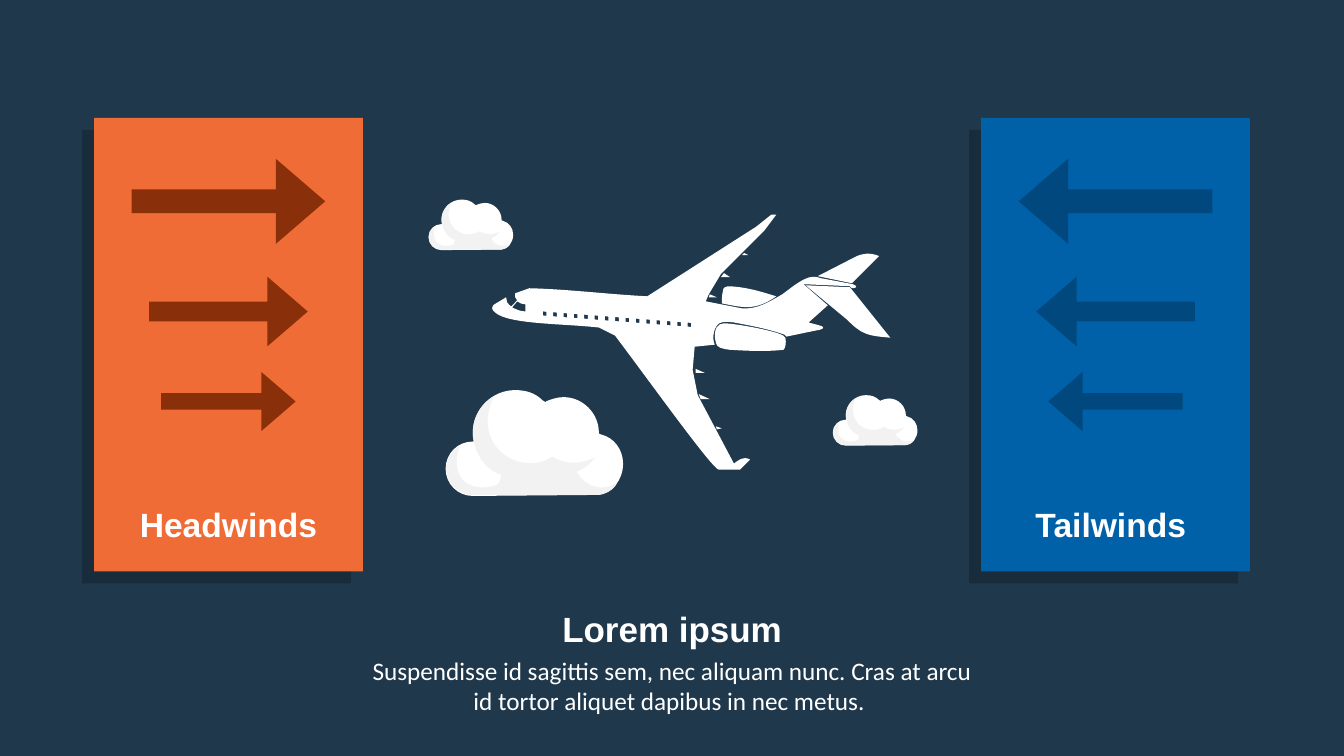
from lxml import etree
from pptx import Presentation
from pptx.dml.color import RGBColor
from pptx.enum.shapes import MSO_SHAPE
from pptx.enum.text import MSO_ANCHOR, MSO_AUTO_SIZE, PP_ALIGN
from pptx.oxml.ns import qn
from pptx.util import Inches, Pt

RECT = MSO_SHAPE.RECTANGLE
RIGHT, LEFT = MSO_SHAPE.RIGHT_ARROW, MSO_SHAPE.LEFT_ARROW
CENTER, TOP = PP_ALIGN.CENTER, MSO_ANCHOR.TOP
GROW = MSO_AUTO_SIZE.SHAPE_TO_FIT_TEXT

NAVY = RGBColor(0x1F, 0x38, 0x4C)
WHITE = RGBColor(0xFF, 0xFF, 0xFF)
SHADE = RGBColor(0xF2, 0xF2, 0xF2)
ORANGE = RGBColor(0xF0, 0x6C, 0x36)
RUST = RGBColor(0x89, 0x2F, 0x0A)
BLUE = RGBColor(0x00, 0x60, 0xA8)
DEEP_BLUE = RGBColor(0x00, 0x48, 0x7E)

W, H = 13.33, 7.5

# Outlines use M, L, C and Z commands in hundredths of an inch.
POINTS_PER_COMMAND = {"M": 1, "L": 1, "C": 3, "Z": 0}
CLOUD_FRAME = (442, 387, 176)  # left, top, width
CLOUD_BODY = """M 511 387 C 522 387 531 390 538 397 L 541 399 L 542 398
 C 547 396 553 394 559 394 C 578 394 594 410 594 429 L 594 430 L 596 431
 C 609 434 618 446 618 460 C 618 476 607 490 593 491 L 469 492
 C 454 492 442 480 442 465 C 442 450 454 438 469 438 L 470 438
 C 469 435 469 432 469 429 C 469 406 488 387 511 387 Z"""
CLOUD_SHADE = """M 456 442 C 445 475 466 490 493 481 C 495 479 497 475 497 471
 C 480 465 473 451 470 438 C 466 419 475 402 490 393 C 466 442 516 474 548 453
 C 561 461 575 461 590 454 C 585 461 579 465 572 468 C 581 484 599 488 612 479
 C 609 486 601 490 594 491 L 469 491 C 449 492 428 462 456 442 Z"""

PLANE_FRAME = (488, 213, 395)
PLANE_PARTS = [
    # engines
    """M 710 340 C 711 345 716 346 724 347 C 740 348 760 349 777 347
 C 779 346 780 340 779 335 C 778 330 741 323 723 321 C 716 320 710 321 709 331
 C 709 334 709 337 710 340 Z""",
    """M 716 301 C 737 305 748 309 770 294 C 754 289 741 285 724 284
 C 720 284 717 285 717 289 C 716 293 716 297 716 301 Z""",
    # tail fins
    "M 799 283 L 843 285 L 883 335 C 860 333 855 332 840 317 Z",
    "M 845 281 L 872 254 C 862 250 855 252 850 254 L 811 274 Z",
    # flap fairings
    "M 711 426 L 710 423 L 716 425 Z",
    "M 695 396 L 693 391 L 704 396 Z",
    "M 690 370 L 690 366 L 699 370 Z",
    "M 703 295 L 704 292 L 711 295 Z",
    "M 715 275 L 718 271 L 724 275 Z",
    "M 736 253 L 738 251 L 742 253 Z",
]
PLANE_BODY = """M 765 213 L 770 213 L 758 229 L 715 272 L 703 292 L 700 299
 L 736 306 C 751 307 762 300 776 292 C 784 286 790 281 798 277
 C 804 274 809 274 814 276 L 846 282 C 851 284 850 286 845 286 L 843 284
 L 797 282 L 821 303 L 802 320 L 813 323 C 820 325 816 327 809 328 L 780 334
 C 779 332 778 332 775 331 C 760 326 744 323 728 320 C 721 319 717 319 713 321
 C 706 327 707 339 709 342 L 689 344 L 687 367 L 692 392 L 728 460
 C 732 457 737 452 744 456 L 734 466 L 713 466 C 707 466 644 378 610 333
 L 594 325 C 559 321 504 322 491 310 C 488 308 486 304 492 301 L 502 295
 L 503 300 C 504 302 506 303 507 304 L 513 298 C 512 297 512 296 511 295
 L 511 291 L 525 286 C 564 287 603 292 642 294 L 750 225 Z"""
COCKPIT = """M 513 299 L 508 305 C 512 307 516 309 521 309 C 521 307 521 304 521 302
 C 518 302 516 301 513 299 Z"""
WINDOW_COUNT = 15


def paint(shape, color):
    shape.shadow.inherit = False
    shape.fill.solid()
    shape.fill.fore_color.rgb = color
    shape.line.fill.background()


def bend_curves(shape, commands):
    """Turn the three segments drawn for each C command into one cubic curve."""
    nodes = iter(list(next(shape._element.iter(qn("a:path")))))
    for command in commands:
        node = next(nodes)
        if command == "C":
            node.tag = qn("a:cubicBezTo")
            for extra in (next(nodes), next(nodes)):
                node.append(extra[0])
                extra.getparent().remove(extra)


def draw_outline(group, outline, frame, left, top, width, color):
    """Draw an outline, fitting its frame to the given place and width."""
    x0, y0, frame_width = frame
    scale = width / frame_width
    tokens = outline.split()
    commands = [t for t in tokens if t in POINTS_PER_COMMAND]
    numbers = [float(t) for t in tokens if t not in POINTS_PER_COMMAND]
    points = [(Inches(left + (x - x0) * scale), Inches(top + (y - y0) * scale))
              for x, y in zip(numbers[::2], numbers[1::2])]
    contours, used = [], 0
    for command in commands:
        if command == "M":
            contours.append([])
        count = POINTS_PER_COMMAND[command]
        contours[-1] += points[used:used + count]
        used += count
    builder = group.shapes.build_freeform(*points[0], scale=1.0)
    for k, contour in enumerate(contours):
        if k:
            builder.move_to(*contour[0])
        builder.add_line_segments(contour[1:], close=True)
    shape = builder.convert_to_shape()
    bend_curves(shape, commands)
    paint(shape, color)


def write(box, text, size, font="Arial", bold=True):
    tf = box.text_frame
    tf.word_wrap, tf.auto_size, tf.vertical_anchor = True, GROW, TOP
    p = tf.paragraphs[0]
    p.alignment = CENTER
    r = p.add_run()
    r.text = text
    r.font.name, r.font.size, r.font.bold = font, Pt(size), bold
    r.font.color.rgb = WHITE


def cast_shadow(shape):
    effects = shape._element.spPr.find(qn("a:effectLst"))
    shadow = etree.SubElement(effects, qn("a:outerShdw"), blurRad="0", dist=str(Pt(12)),
                              dir=str(135 * 60000), algn="tr", rotWithShape="0")
    black = etree.SubElement(shadow, qn("a:srgbClr"), val="000000")
    etree.SubElement(black, qn("a:alpha"), val="20000")


def add_plane(s, left, top, width):
    windows = []
    for k in range(WINDOW_COUNT):
        x, y = 538.5 + 10.25 * k, 309 + 0.79 * k
        windows.append(f"M {x} {y} L {x} {y + 4} L {x + 3.5} {y + 4.4} L {x + 3.5} {y + 0.4} Z")
    body = " ".join([PLANE_BODY, COCKPIT, *windows])
    group = s.shapes.add_group_shape()
    for outline in [*PLANE_PARTS, body]:
        draw_outline(group, outline, PLANE_FRAME, left, top, width, WHITE)


def add_cloud(s, left, top, width):
    group = s.shapes.add_group_shape()
    for outline, color in ((CLOUD_BODY, WHITE), (CLOUD_SHADE, SHADE)):
        draw_outline(group, outline, CLOUD_FRAME, left, top, width, color)


def add_wind_panel(s, left, top, width, height, label, arrow_kind, color, arrow_color):
    group = s.shapes.add_group_shape()

    def place(kind, x, y, w, h, fill):
        shape = group.shapes.add_shape(kind, Inches(x), Inches(y), Inches(w), Inches(h))
        paint(shape, fill)
        return shape

    cast_shadow(place(RECT, left, top, width, height, color))
    for share, down in ((0.72, 0.09), (0.59, 0.35), (0.5, 0.56)):
        w = width * share
        arrow = place(arrow_kind, left + (width - w) / 2, top + height * down,
                      w, w * 0.44, arrow_color)
        arrow.adjustments[0], arrow.adjustments[1] = 0.28, 0.58
    box = group.shapes.add_textbox(Inches(left), Inches(top + height * 0.84),
                                   Inches(width), Inches(0.5))
    write(box, label, 24)


def add_caption(s, left, top, width, title, body):
    head = s.shapes.title
    head.left, head.top, head.width, head.height = map(Inches, (left, top, width, 0.52))
    write(head, title, 25)
    box = s.shapes.add_textbox(Inches(left), Inches(top + 0.47), Inches(width), Inches(0.71))
    write(box, body, 18, font="Calibri", bold=False)


def main():
    prs = Presentation()
    prs.slide_width, prs.slide_height = Inches(W), Inches(H)
    s = prs.slides.add_slide(prs.slide_layouts[5])
    s.background.fill.solid()
    s.background.fill.fore_color.rgb = NAVY

    add_plane(s, 4.88, 2.13, 3.95)
    for left, top, width in ((4.42, 3.87, 1.76), (4.25, 1.98, 0.84), (8.26, 3.92, 0.84)):
        add_cloud(s, left, top, width)
    panel_width, margin = W * 0.2, W * 0.07
    for left, *look in ((margin, "Headwinds", RIGHT, ORANGE, RUST),
                        (W - margin - panel_width, "Tailwinds ", LEFT, BLUE, DEEP_BLUE)):
        add_wind_panel(s, left, 1.17, panel_width, H * 0.6, *look)
    add_caption(s, 3.59, 5.98, 6.15, "Lorem ipsum",
                "Suspendisse id sagittis sem, nec aliquam nunc. Cras at arcu "
                "id tortor aliquet dapibus in nec metus. ")
    prs.save("out.pptx")


if __name__ == "__main__":
    main()
